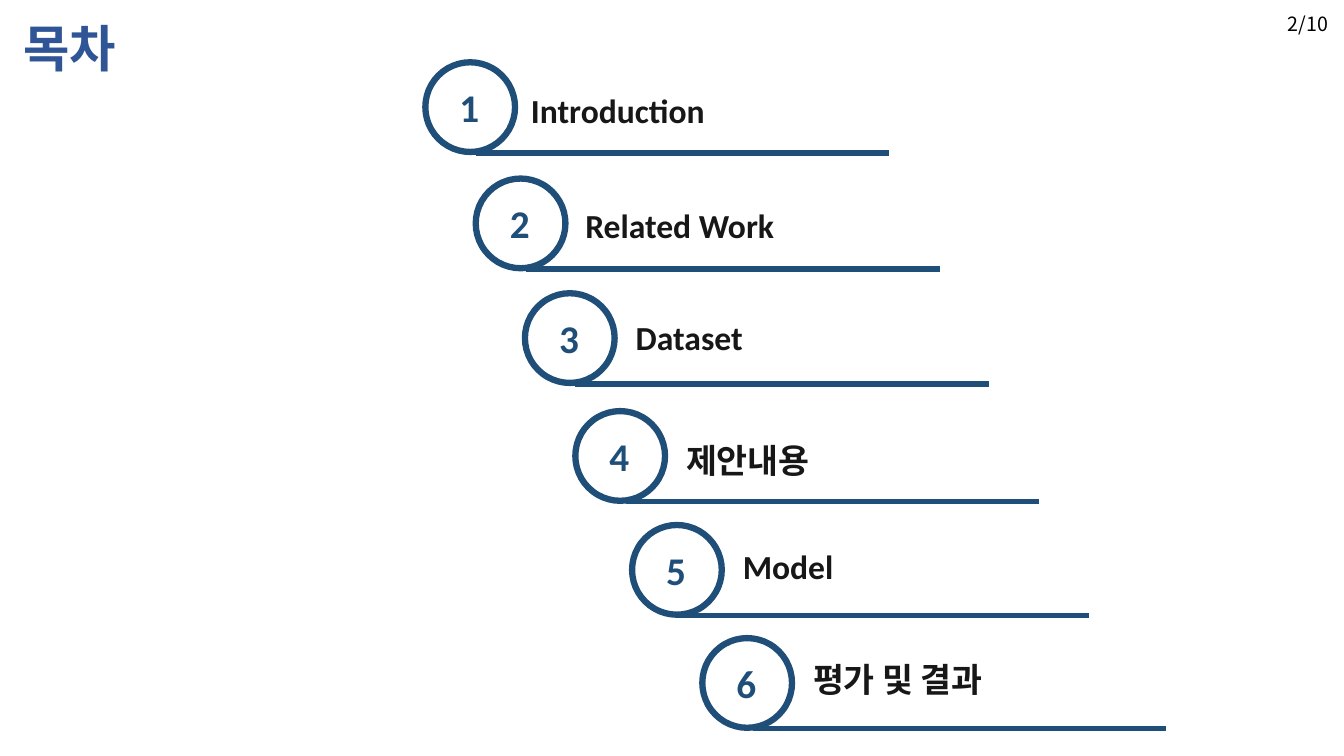
from pptx import Presentation
from pptx.dml.color import RGBColor
from pptx.enum.shapes import MSO_CONNECTOR, MSO_SHAPE
from pptx.enum.text import MSO_ANCHOR, MSO_AUTO_SIZE, PP_ALIGN
from pptx.oxml.ns import qn
from pptx.util import Cm, Pt
from lxml import etree

BLUE = RGBColor(0x2F, 0x55, 0x97)
NAVY = RGBColor(0x1F, 0x4E, 0x79)
INK = RGBColor(0x18, 0x17, 0x17)
BLACK = RGBColor(0, 0, 0)
STRAIGHT, OVAL = MSO_CONNECTOR.STRAIGHT, MSO_SHAPE.OVAL
TOP, BOTTOM = MSO_ANCHOR.TOP, MSO_ANCHOR.BOTTOM
LEFT, CENTER = PP_ALIGN.LEFT, PP_ALIGN.CENTER
NO_FIT = MSO_AUTO_SIZE.NONE

TITLE_FONT = {"name": "Montserrat", "size": Pt(36), "bold": True}
PAGE_FONT = {"name": "Noto Sans CJK KR", "size": Pt(14)}
NUMBER_FONT = {"name": "Calibri", "size": Pt(28), "bold": True}
LABEL_FONT = {"name": "Calibri", "size": Pt(24), "bold": True}

DIAMETER = 2.26
RULE_LENGTH = 10.42

# Label, circle left and top, rule start, label left, top and width (cm)
ITEMS = [
    ("Introduction", 10.72, 1.57, 11.99, 13.13, 2.13, 5.72),
    ("Related Work", 11.99, 4.5, 13.26, 14.5, 5.05, 8.89),
    ("Dataset", 13.23, 7.39, 14.5, 15.77, 7.85, 9.53),
    ("제안내용", 14.5, 10.36, 15.77, 17.04, 10.95, 11.63),
    ("Model", 15.93, 13.23, 17.02, 18.47, 13.64, 8.89),
    ("평가 및 결과", 17.7, 16.08, 18.97, 20.24, 16.48, 8.89),
]


def place(sp, left, top, width, height):
    sp.left, sp.top, sp.width, sp.height = map(Cm, (left, top, width, height))


def write(tf, text, font, color, align=LEFT, anchor=TOP):
    tf.auto_size = NO_FIT
    tf.vertical_anchor = anchor
    p = tf.paragraphs[0]
    p.alignment = align
    r = p.add_run()
    r.text = text
    for name, value in font.items():
        setattr(r.font, name, value)
    r.font.color.rgb = color
    return p


def add_text(s, box, text, font, color, wrap=True, **layout):
    tf = s.shapes.add_textbox(*map(Cm, box)).text_frame
    tf.word_wrap = wrap
    return write(tf, text, font, color, **layout)


def add_circle(s, left, top):
    sp = s.shapes.add_shape(OVAL, Cm(left), Cm(top), Cm(DIAMETER), Cm(DIAMETER))
    sp.shadow.inherit = False
    sp.fill.background()
    sp.line.color.rgb = NAVY
    sp.line.width = Pt(4.5)


def add_rule(s, left, y):
    rule = s.shapes.add_connector(
        STRAIGHT, Cm(left), Cm(y), Cm(left + RULE_LENGTH), Cm(y))
    rule.line.color.rgb = NAVY
    rule.line.width = Pt(4)
    etree.SubElement(rule._element.spPr, qn("a:effectLst"))


def add_item(s, number, label, left, top, rule_left, label_left, label_top, width):
    add_text(s, (left + 0.61, top + 0.41, 1.32, 1.45), str(number),
             NUMBER_FONT, NAVY)
    add_circle(s, left, top)
    add_rule(s, rule_left, top + DIAMETER + 0.02)
    add_text(s, (label_left, label_top, width, 1.27), label, LABEL_FONT, INK)


def main():
    prs = Presentation()
    prs.slide_width, prs.slide_height = Cm(33.87), Cm(19.05)
    s = prs.slides.add_slide(prs.slide_layouts[5])

    # Title and page number
    place(s.shapes.title, 0.33, 0.3, 32.92, 1.8)
    write(s.shapes.title.text_frame, "목차", TITLE_FONT, BLUE)
    page = add_text(s, (32.18, 0.13, 1.57, 0.89), "2/10", PAGE_FONT, BLACK,
                    wrap=False, align=CENTER, anchor=BOTTOM)
    page.line_spacing = 0.9

    # Numbered contents
    for number, item in enumerate(ITEMS, 1):
        add_item(s, number, *item)

    prs.save("out.pptx")


if __name__ == "__main__":
    main()
